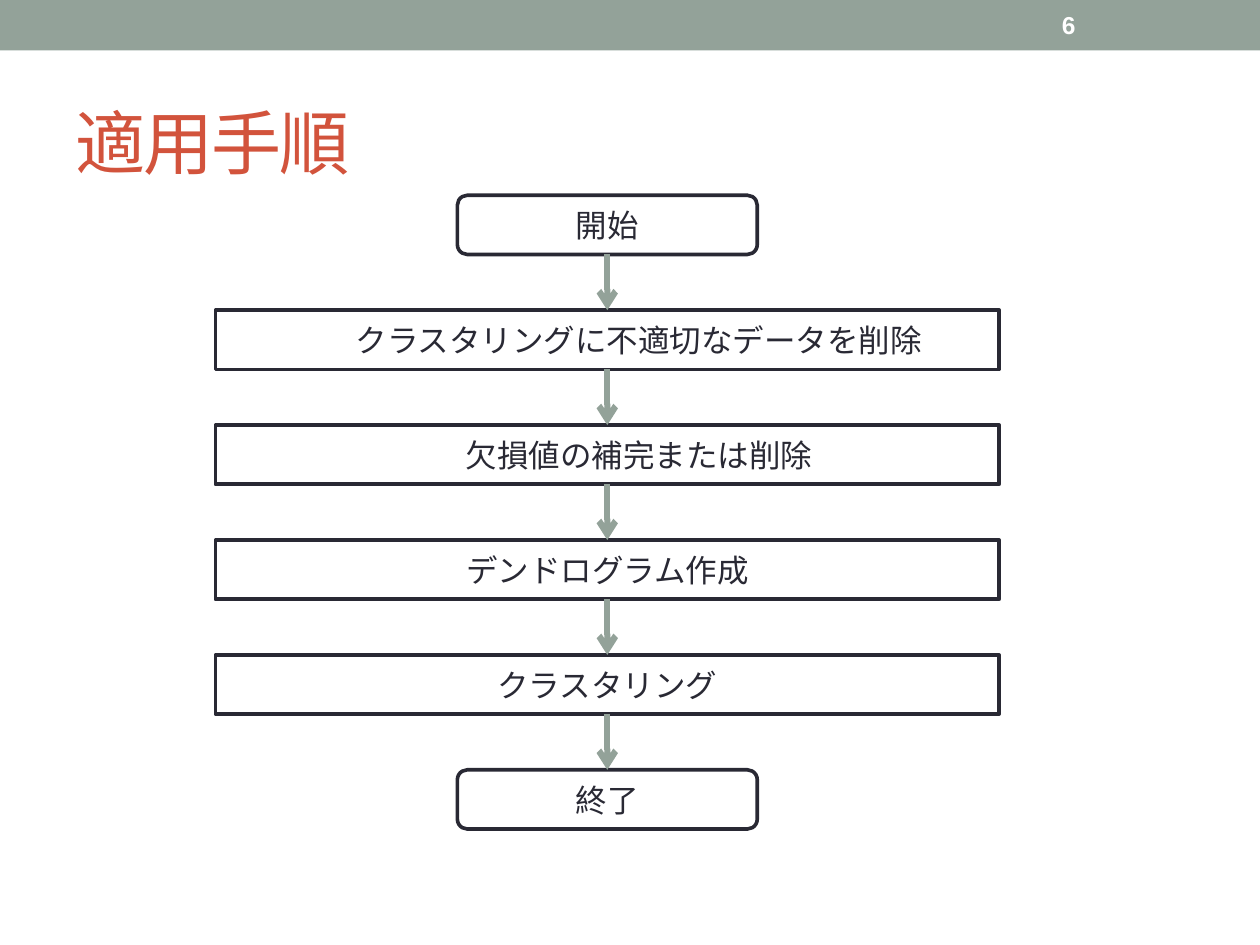
from lxml import etree
from pptx import Presentation
from pptx.dml.color import RGBColor
from pptx.enum.shapes import MSO_CONNECTOR, MSO_SHAPE
from pptx.enum.text import MSO_ANCHOR, PP_ALIGN
from pptx.oxml.ns import qn
from pptx.util import Inches, Pt

RECTANGLE = MSO_SHAPE.RECTANGLE
TERMINAL = MSO_SHAPE.FLOWCHART_ALTERNATE_PROCESS
PROCESS = MSO_SHAPE.FLOWCHART_PROCESS
STRAIGHT = MSO_CONNECTOR.STRAIGHT
MIDDLE = MSO_ANCHOR.MIDDLE
CENTER = PP_ALIGN.CENTER
LEFT = PP_ALIGN.LEFT

COLORS = {
    "sage": "93A299",
    "red": "D2533C",
    "ink": "292934",
    "white": "FFFFFF",
}

CENTER_X = 4.82
FIRST_TOP = 1.55
LAST_TOP = 6.11
STEP_HEIGHT = 0.47
STEP_WIDTHS = {TERMINAL: 2.38, PROCESS: 6.22}

# Shape kind, wording, left indent in inches
STEPS = [
    (TERMINAL, "開始", 0),
    (PROCESS, "クラスタリングに不適切なデータを削除", 0.5),
    (PROCESS, "欠損値の補完または削除", 0.5),
    (PROCESS, "デンドログラム作成", 0),
    (PROCESS, "クラスタリング", 0),
    (TERMINAL, "終了", 0),
]


class SlideBuilder:
    """Holds the slide and its style, and adds each kind of element."""

    font_name = "Arial"

    def __init__(self, slide):
        self.slide = slide

    def color(self, name):
        return RGBColor.from_string(COLORS[name])

    def set_text(self, shape, text, size, color, align=LEFT, bold=False):
        frame = shape.text_frame
        frame.word_wrap = True
        frame.vertical_anchor = MIDDLE
        paragraph = frame.paragraphs[0]
        paragraph.text = text
        paragraph.alignment = align
        font = paragraph.font
        font.name = self.font_name
        font.size = Pt(size)
        font.bold = bold
        font.color.rgb = self.color(color)
        return paragraph

    def text(self, left, top, width, height, text, size, color, bold=False):
        box = self.slide.shapes.add_textbox(
            Inches(left), Inches(top), Inches(width), Inches(height))
        return self.set_text(box, text, size, color, bold=bold)

    def shape(self, kind, left, top, width, height, fill, line=None):
        shape = self.slide.shapes.add_shape(
            kind, Inches(left), Inches(top), Inches(width), Inches(height))
        shape.shadow.inherit = False
        shape.fill.solid()
        shape.fill.fore_color.rgb = self.color(fill)
        if line:
            shape.line.color.rgb = self.color(line)
            shape.line.width = Pt(2.08)
        else:
            shape.line.fill.background()
        return shape

    def step(self, kind, top, text, indent):
        width = STEP_WIDTHS[kind]
        shape = self.shape(kind, CENTER_X - width / 2, top, width,
                           STEP_HEIGHT, "white", "ink")
        paragraph = self.set_text(shape, text, 18, "ink", CENTER)
        if indent:
            paragraph.level = 1
            properties = paragraph._p.get_or_add_pPr()
            properties.set("marL", str(Inches(indent)))
            properties.set("indent", "0")

    def down_arrow(self, top, bottom):
        connector = self.slide.shapes.add_connector(
            STRAIGHT, Inches(CENTER_X), Inches(top),
            Inches(CENTER_X), Inches(bottom))
        connector.line.color.rgb = self.color("sage")
        connector.line.width = Pt(3.5)
        etree.SubElement(connector.line._get_or_add_ln(),
                         qn("a:tailEnd"), type="arrow")
        etree.SubElement(connector._element.spPr, qn("a:effectLst"))


def main():
    presentation = Presentation()
    presentation.slide_width = Inches(10)
    presentation.slide_height = Inches(7.5)
    slide = presentation.slides.add_slide(presentation.slide_layouts[6])
    builder = SlideBuilder(slide)

    builder.shape(RECTANGLE, 0, 0, 10, 0.4, "sage")
    title = builder.text(0.5, 0.58, 9, 1.08, "適用手順", 40, "red")
    title.runs[0]._r.get_or_add_rPr().set("spc", "-100")
    builder.text(8.33, 0.02, 1.17, 0.36, "6", 14, "white", bold=True)

    pitch = (LAST_TOP - FIRST_TOP) / (len(STEPS) - 1)
    tops = [FIRST_TOP + index * pitch for index in range(len(STEPS))]
    for top, (kind, text, indent) in zip(tops, STEPS):
        builder.step(kind, top, text, indent)
    for top, next_top in zip(tops, tops[1:]):
        builder.down_arrow(top + STEP_HEIGHT, next_top)

    presentation.save("out.pptx")


if __name__ == "__main__":
    main()
